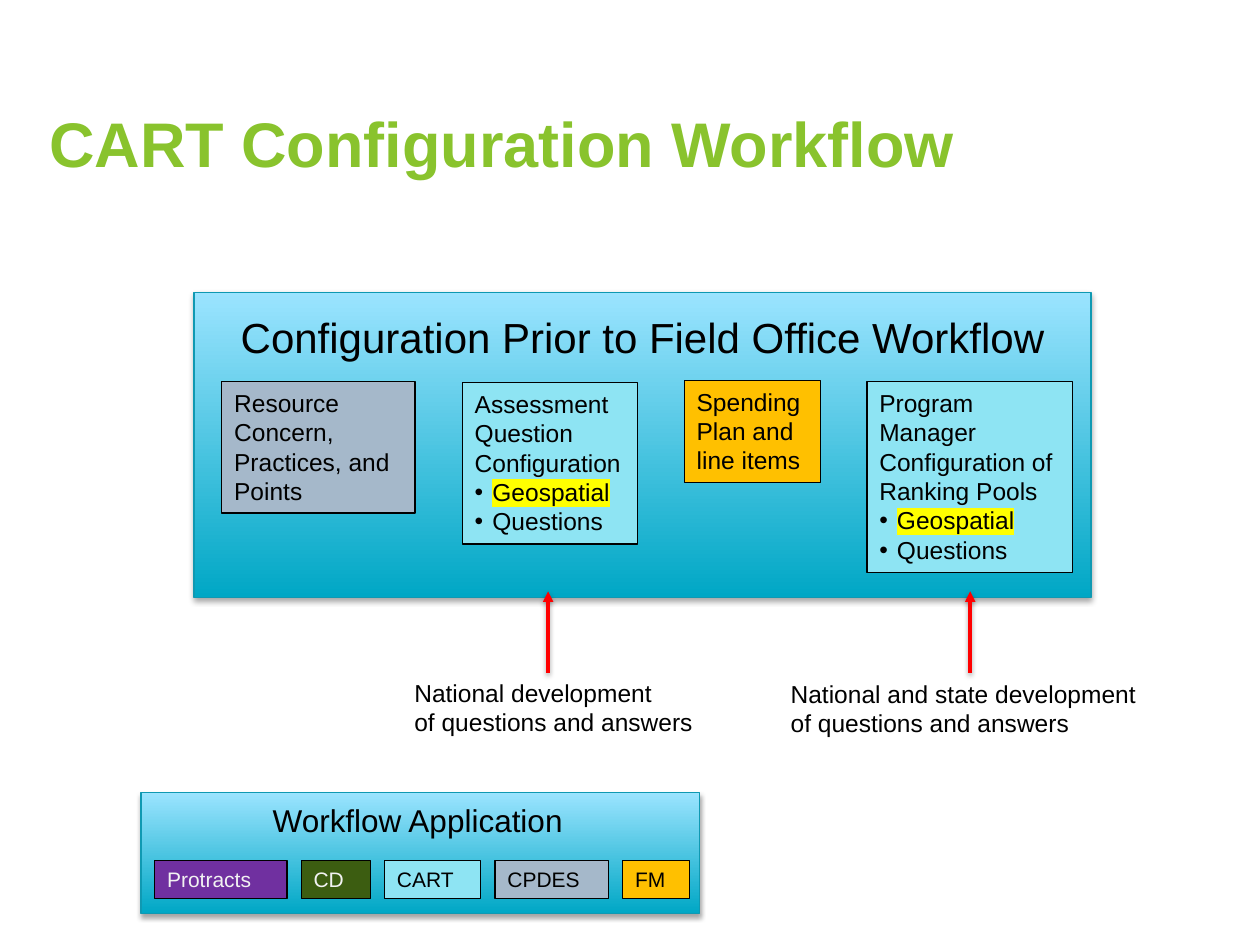
from dataclasses import dataclass
from typing import NamedTuple

from lxml.etree import SubElement
from pptx import Presentation
from pptx.dml.color import RGBColor
from pptx.enum.shapes import MSO_CONNECTOR as Conn, MSO_SHAPE as Shape
from pptx.enum.text import MSO_ANCHOR as Anchor, MSO_AUTO_SIZE as Auto, PP_ALIGN as Align
from pptx.oxml.ns import qn
from pptx.util import Pt


@dataclass(frozen=True)
class Theme:
    font: str = "Arial"
    black: str = "000000"
    light: str = "F2F2F2"
    green: str = "89C32D"
    cyan: str = "8EE4F3"
    slate: str = "A5B8CA"
    amber: str = "FFC000"
    purple: str = "7030A0"
    forest: str = "3C5D11"
    red: str = "FF0000"
    yellow: str = "FFFF00"
    panel_bottom: str = "00A7C5"
    panel_top: str = "9BE4FF"
    panel_edge: str = "0F99B2"
    title_size: int = 36
    heading_size: int = 24
    subheading_size: int = 18
    body_size: int = 14
    legend_size: int = 12


T = Theme()


class Line(NamedTuple):
    text: str
    bullet: bool = False
    highlight: str = ""


class Rect(NamedTuple):
    left: float
    top: float
    width: float
    height: float


class Panel(NamedTuple):
    rect: Rect
    heading: str
    heading_rect: Rect
    size: int


class Box(NamedTuple):
    rect: Rect
    fill: str
    lines: tuple
    size: int = T.body_size
    color: str = T.black


class Caption(NamedTuple):
    rect: Rect
    lines: tuple
    arrow_x: float


QUESTIONS = (Line("Geospatial", True, T.yellow), Line("Questions", True))

PANELS = (
    Panel(Rect(110.9, 167, 512.6, 174.3), "Configuration Prior to Field Office Workflow",
          Rect(110.9, 174.3, 512.6, 36), T.heading_size),
    Panel(Rect(80.6, 452.9, 319, 69.1), "Workflow Application",
          Rect(79.2, 454.3, 319, 29), T.subheading_size),
)

STEPS = (
    Box(Rect(126.7, 218, 110.4, 75.2), T.slate,
        (Line("Resource Concern, Practices, and Points"),)),
    Box(Rect(264.2, 218.6, 100.1, 92.2), T.cyan,
        (Line("Assessment Question Configuration"), *QUESTIONS)),
    Box(Rect(391, 217.4, 78, 58.3), T.amber, (Line("Spending Plan and line items"),)),
    Box(Rect(495.4, 218, 117.4, 109), T.cyan,
        (Line("Program Manager Configuration of Ranking Pools"), *QUESTIONS)),
)

CAPTIONS = (
    Caption(Rect(229.7, 383.8, 184.3, 41),
            (Line("National development"), Line("of questions and answers")), 313.2),
    Caption(Rect(444.7, 384.4, 224.6, 41),
            (Line("National and state development of questions and answers"),), 554.4),
)

LEGEND = (
    ("Protracts", 75.6, T.purple, T.light),
    ("CD", 39.6, T.forest, T.light),
    ("CART", 55, T.cyan, T.black),
    ("CPDES", 64.8, T.slate, T.black),
    ("FM", 38.4, T.amber, T.black),
)
LEGEND_LEFT, LEGEND_TOP, LEGEND_HEIGHT, LEGEND_GAP = 88.4, 491.6, 21.8, 8.1
ARROW_FROM, ARROW_TO = 384.5, 337.9


def rgb(value: str) -> RGBColor:
    return RGBColor.from_string(value)


def points(rect: Rect) -> list:
    return [Pt(v) for v in rect]


def write(tf, lines, *, size, color=T.black, bold=False, align=Align.LEFT,
          anchor=Anchor.TOP, auto=Auto.SHAPE_TO_FIT_TEXT) -> None:
    tf.word_wrap = True
    tf.auto_size = auto
    tf.vertical_anchor = anchor
    for i, line in enumerate(lines):
        p = tf.add_paragraph() if i else tf.paragraphs[0]
        p.alignment = align
        if line.bullet:
            pPr = p._p.get_or_add_pPr()
            pPr.set("marL", str(Pt(10.1)))
            pPr.set("indent", str(-Pt(10.1)))
            SubElement(pPr, qn("a:buFont"), typeface=T.font)
            SubElement(pPr, qn("a:buChar"), char="•")
        r = p.add_run()
        r.text = line.text
        r.font.size = Pt(size)
        r.font.bold = bold
        r.font.color.rgb = rgb(color)
        if line.highlight:
            mark = SubElement(r._r.get_or_add_rPr(), qn("a:highlight"))
            SubElement(mark, qn("a:srgbClr"), val=line.highlight)
        r.font.name = T.font


def add_shadow(sp, alpha: int, distance: float) -> None:
    effects = SubElement(sp._element.spPr, qn("a:effectLst"))
    shadow = SubElement(effects, qn("a:outerShdw"), blurRad=str(Pt(3.1)),
                        dist=str(Pt(distance)), dir="5400000", rotWithShape="0")
    tint = SubElement(shadow, qn("a:srgbClr"), val=T.black)
    SubElement(tint, qn("a:alpha"), val=str(alpha * 1000))


def add_text(s, rect: Rect, lines, **fmt) -> None:
    write(s.shapes.add_textbox(*points(rect)).text_frame, lines, **fmt)


def add_panel(s, panel: Panel) -> None:
    sp = s.shapes.add_shape(Shape.RECTANGLE, *points(panel.rect))
    sp.fill.gradient()
    sp.fill.gradient_angle = 90
    for stop, color in zip(sp.fill.gradient_stops, (T.panel_bottom, T.panel_top)):
        stop.color.rgb = rgb(color)
    sp.line.color.rgb = rgb(T.panel_edge)
    sp.line.width = Pt(0.75)
    add_shadow(sp, 35, 1.8)
    add_text(s, panel.heading_rect, [Line(panel.heading)], size=panel.size, align=Align.CENTER)


def add_box(s, box: Box) -> None:
    sp = s.shapes.add_shape(Shape.RECTANGLE, *points(box.rect))
    sp.shadow.inherit = False
    sp.fill.solid()
    sp.fill.fore_color.rgb = rgb(box.fill)
    sp.line.color.rgb = rgb(T.black)
    sp.line.width = Pt(0.75)
    write(sp.text_frame, box.lines, size=box.size, color=box.color)


def add_caption(s, caption: Caption) -> None:
    x = Pt(caption.arrow_x)
    sp = s.shapes.add_connector(Conn.STRAIGHT, x, Pt(ARROW_FROM), x, Pt(ARROW_TO))
    sp.line.color.rgb = rgb(T.red)
    sp.line.width = Pt(2)
    SubElement(sp.line._get_or_add_ln(), qn("a:tailEnd"), type="triangle")
    add_shadow(sp, 38, 1.6)
    add_text(s, caption.rect, caption.lines, size=T.body_size)


def main() -> None:
    prs = Presentation()
    prs.slide_width, prs.slide_height = Pt(720), Pt(540)
    s = prs.slides.add_slide(prs.slide_layouts[5])
    title = s.shapes.title
    title.left, title.top, title.width, title.height = points(Rect(20.9, 49.7, 689.8, 63.4))
    write(title.text_frame, [Line("CART Configuration Workflow")], size=T.title_size,
          color=T.green, bold=True, anchor=Anchor.MIDDLE, auto=Auto.NONE)
    for panel in PANELS:
        add_panel(s, panel)
    for box in STEPS:
        add_box(s, box)
    for caption in CAPTIONS:
        add_caption(s, caption)
    left = LEGEND_LEFT
    for name, width, fill, color in LEGEND:
        rect = Rect(left, LEGEND_TOP, width, LEGEND_HEIGHT)
        add_box(s, Box(rect, fill, (Line(name),), T.legend_size, color))
        left += width + LEGEND_GAP
    prs.save("out.pptx")


if __name__ == "__main__":
    main()
